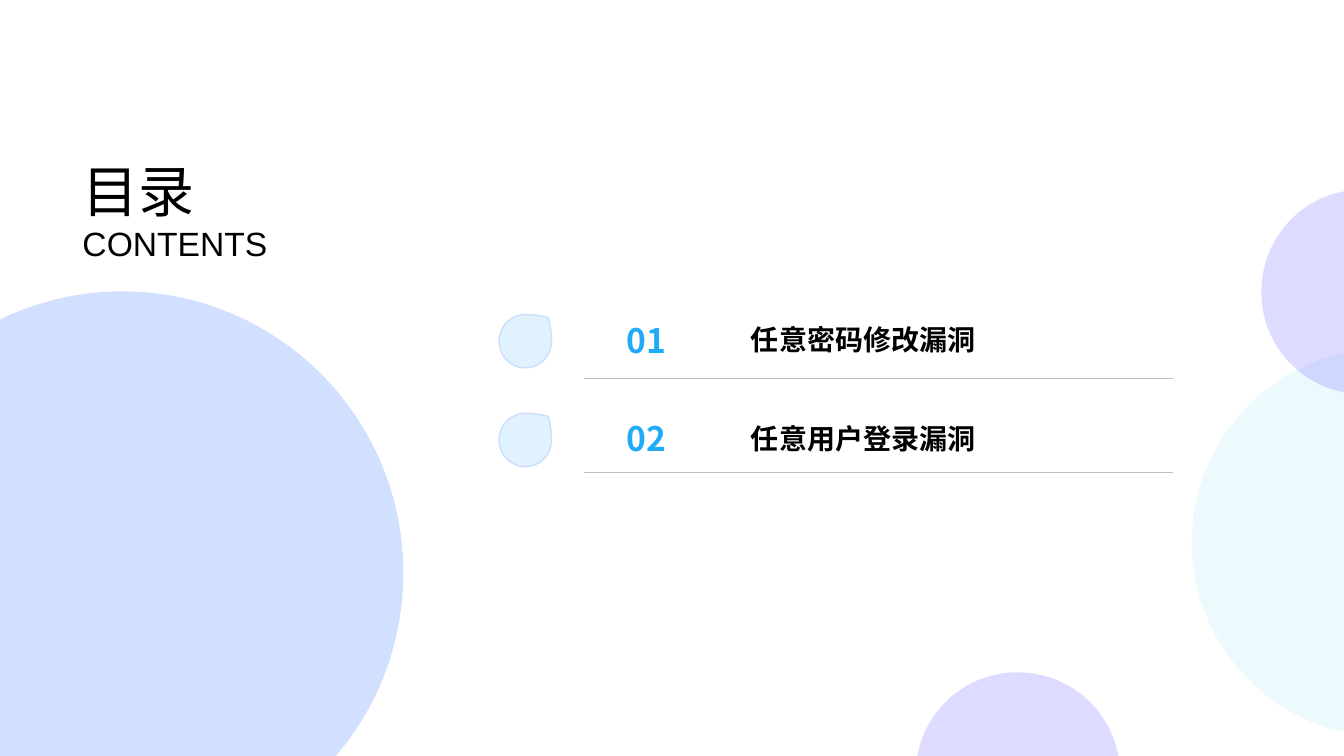
from dataclasses import dataclass

from lxml.etree import SubElement
from pptx import Presentation
from pptx.dml.color import RGBColor
from pptx.enum.shapes import MSO_CONNECTOR, MSO_SHAPE
from pptx.enum.text import MSO_ANCHOR as Anchor, MSO_AUTO_SIZE as AutoSize, PP_ALIGN as Align
from pptx.oxml.ns import qn
from pptx.util import Inches, Pt

WIDTH, HEIGHT = 13.33, 7.5


@dataclass(frozen=True)
class Theme:
    latin: str = "Arial"
    cjk: str = "Noto Sans CJK SC"
    text: str = "000000"
    number: str = "1FABF8"
    rule: str = "BFBFBF"
    drop_fill: str = "E0F2FE"
    drop_line: str = "CCDDFF"
    violet: str = "9089FF"
    cyan: str = "46D0F7"
    blue: str = "0056FF"
    title_size: int = 40
    number_size: int = 24
    subtitle_size: int = 24
    item_size: int = 20


@dataclass(frozen=True)
class Bubble:
    """A circle trimmed by the slide edge; each step is a line (x, y)
    or a curve (control 1, control 2, end)."""
    start: tuple[float, float]
    steps: list[tuple[float, ...]]
    color: str
    opacity: int


@dataclass(frozen=True)
class Item:
    number: str
    title: str
    top: float
    rule_y: float
    title_width: float


THEME = Theme()
BUBBLES = [
    Bubble((9.09, HEIGHT), [
        (11.09, HEIGHT), (11.09, 7.49),
        (11, 7.02, 10.59, 6.67, 10.09, 6.67),
        (9.6, 6.67, 9.19, 7.02, 9.1, 7.49),
    ], THEME.violet, 30),
    Bubble((WIDTH, 3.5), [
        (WIDTH, 7.26), (13.16, 7.22),
        (12.39, 6.97, 11.82, 6.24, 11.82, 5.38),
        (11.82, 4.52, 12.39, 3.79, 13.16, 3.55),
    ], THEME.cyan, 10),
    Bubble((1.21, 2.89), [
        (2.75, 2.89, 4, 4.14, 4, 5.68),
        (4, 6.38, 3.75, 7.01, 3.33, HEIGHT),
        (0, HEIGHT), (0, 3.17), (0.08, 3.13),
        (0.43, 2.98, 0.81, 2.89, 1.21, 2.89),
    ], THEME.blue, 18),
    Bubble((WIDTH, 3.9), [
        (WIDTH, 1.9), (13.32, 1.9),
        (12.86, 1.99, 12.51, 2.4, 12.51, 2.9),
        (12.51, 3.39, 12.86, 3.8, 13.32, 3.89),
    ], THEME.violet, 30),
]
ITEMS = [
    Item("01", "任意密码修改漏洞", 3.12, 3.75, 3.81),
    Item("02", "任意用户登录漏洞", 4.1, 4.68, 3.91),
]


def rgb(color: str) -> RGBColor:
    return RGBColor.from_string(color)


def add_bubble(shapes, bubble: Bubble) -> None:
    builder = shapes.build_freeform(*map(Inches, bubble.start))
    ends = [tuple(map(Inches, step[-2:])) for step in bubble.steps]
    builder.add_line_segments(ends, close=True)
    sp = builder.convert_to_shape()

    # Bend the curved steps
    segments = list(sp._element.iter(qn("a:lnTo")))
    for segment, step in zip(segments, bubble.steps):
        if len(step) == 6:
            segment.tag = qn("a:cubicBezTo")
            for i, (x, y) in enumerate((step[:2], step[2:4])):
                pt = SubElement(segment, qn("a:pt"), x=str(Inches(x) - sp.left),
                                y=str(Inches(y) - sp.top))
                segment.insert(i, pt)

    sp.shadow.inherit = False
    sp.line.fill.background()
    sp.fill.solid()
    sp.fill.fore_color.rgb = rgb(bubble.color)
    clr = next(sp._element.spPr.iter(qn("a:srgbClr")))
    SubElement(clr, qn("a:alpha"), val=str(bubble.opacity * 1000))


def add_text(shapes, box: tuple[float, float, float, float], lines: list[str],
             sizes: list[int], color: str = THEME.text, font: str = THEME.latin,
             bold: bool = False, align: Align = Align.LEFT,
             anchor: Anchor = Anchor.MIDDLE) -> None:
    tf = shapes.add_textbox(*map(Inches, box)).text_frame
    tf.word_wrap = True
    tf.auto_size = AutoSize.SHAPE_TO_FIT_TEXT
    tf.vertical_anchor = anchor
    tf.text = "\n".join(lines)
    for p, size in zip(tf.paragraphs, sizes):
        p.alignment = align
        r = p.runs[0]
        r.font.size = Pt(size)
        r.font.bold = bold
        r.font.color.rgb = rgb(color)
        r.font.name = font
        SubElement(r.font._element, qn("a:ea"), typeface=THEME.cjk)


def add_rule(shapes, y: float) -> None:
    line = shapes.add_connector(MSO_CONNECTOR.STRAIGHT, Inches(5.79), Inches(y),
                                Inches(11.63), Inches(y))
    line.line.color.rgb = rgb(THEME.rule)
    line.line.width = Pt(0.25)
    SubElement(line._element.spPr, qn("a:effectLst"))


def add_drop(shapes, top: float) -> None:
    sp = shapes.add_shape(MSO_SHAPE.TEAR, Inches(4.95), Inches(top),
                          Inches(0.52), Inches(0.53))
    sp.adjustments[0] = 0.88
    sp.shadow.inherit = False
    sp.fill.solid()
    sp.fill.fore_color.rgb = rgb(THEME.drop_fill)
    sp.line.color.rgb = rgb(THEME.drop_line)
    sp.line.width = Pt(1)


def add_item(shapes, item: Item) -> None:
    row = shapes.add_group_shape().shapes
    add_text(row, (5.47, item.top, 1.88, 0.5), [item.number], [THEME.number_size],
             THEME.number, THEME.cjk, bold=True, align=Align.CENTER)
    add_text(row, (7.35, item.top + 0.03, item.title_width, 0.44), [item.title],
             [THEME.item_size], bold=True)
    add_rule(row, item.rule_y)
    add_drop(shapes, item.top)


def main() -> None:
    prs = Presentation()
    prs.slide_width, prs.slide_height = Inches(WIDTH), Inches(HEIGHT)
    shapes = prs.slides.add_slide(prs.slide_layouts[6]).shapes

    # Background bubbles
    for bubble in BUBBLES:
        add_bubble(shapes, bubble)

    # Contents list
    for item in ITEMS:
        add_item(shapes, item)

    # Heading
    add_text(shapes, (0.72, 1.5, 3.26, 1.18), ["目录", "CONTENTS"],
             [THEME.title_size, THEME.subtitle_size], anchor=Anchor.TOP)

    prs.save("out.pptx")


if __name__ == "__main__":
    main()
